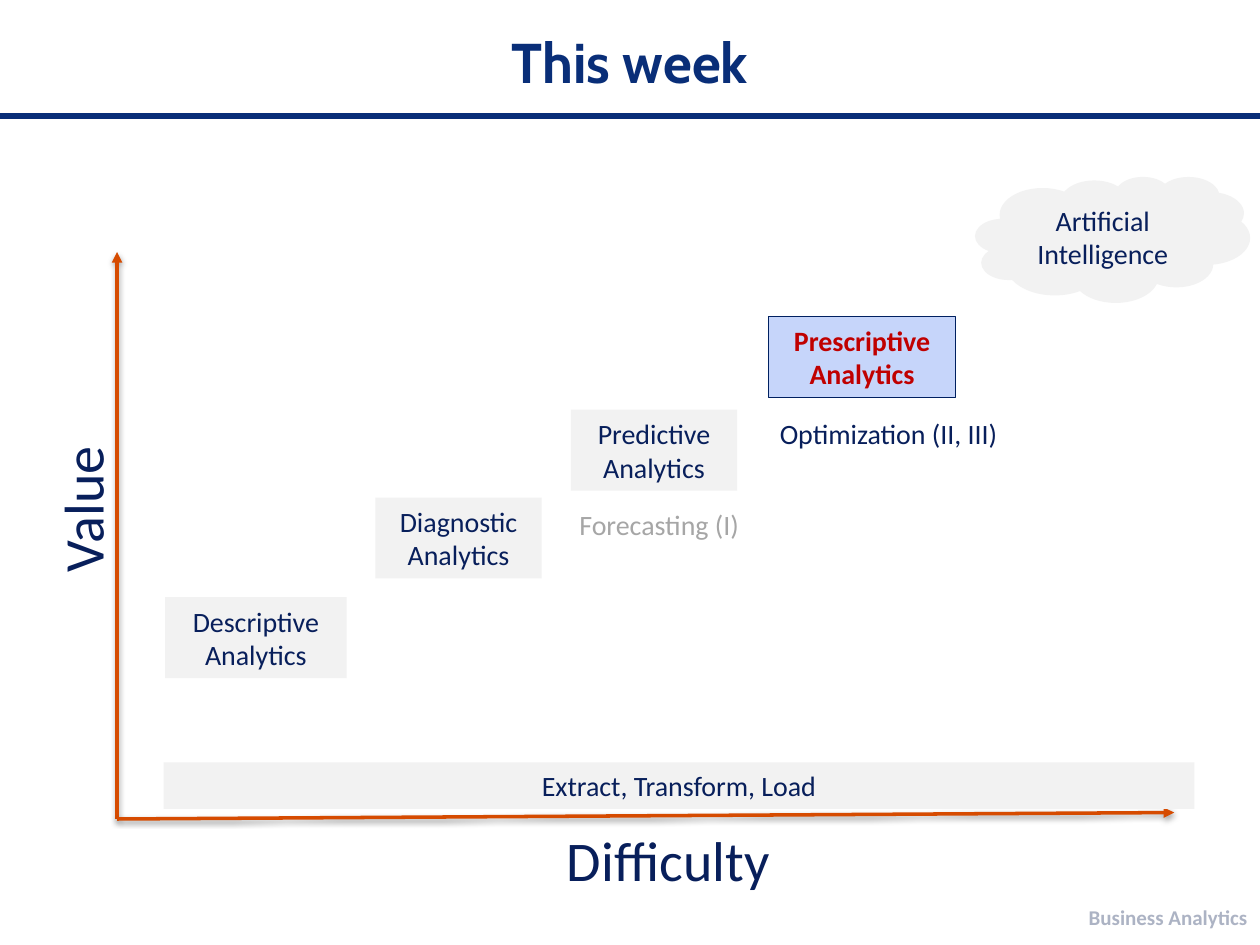
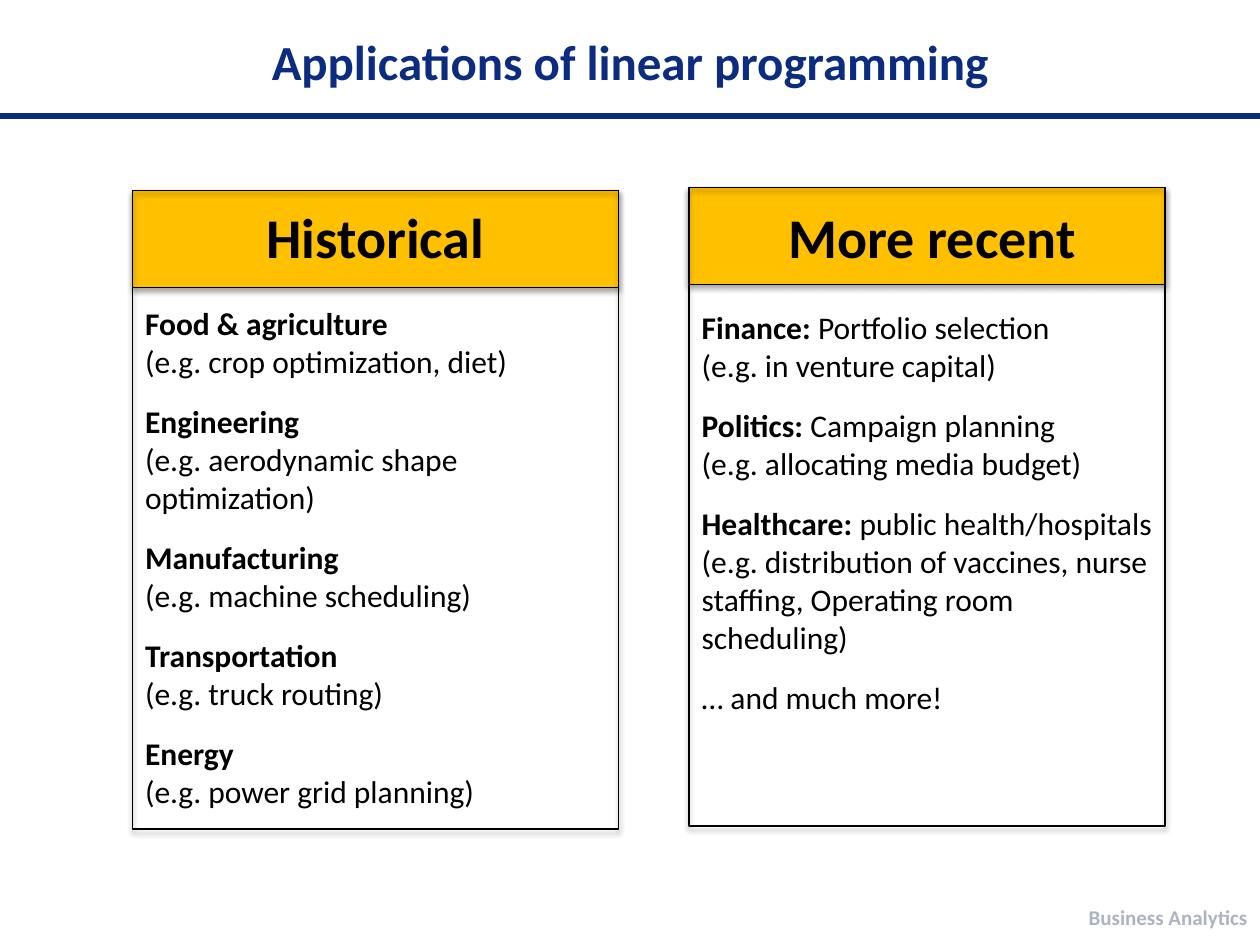
"""Build two business analytics slides: the analytics ladder and linear programming uses."""
from lxml.etree import SubElement
from pptx import Presentation
from pptx.dml.color import RGBColor
from pptx.enum.shapes import MSO_CONNECTOR, MSO_SHAPE
from pptx.enum.text import MSO_ANCHOR, MSO_AUTO_SIZE, PP_ALIGN
from pptx.oxml.ns import qn
from pptx.util import Cm, Pt

RULE_BLUE = RGBColor(0x09, 0x2E, 0x78)
TITLE_BLUE = RGBColor(0x0B, 0x2C, 0x81)
FOOTER_BLUE = RGBColor(0x06, 0x19, 0x4C)
TEXT_BLUE = RGBColor(0x08, 0x1F, 0x5B)
BORDER_BLUE = RGBColor(0x00, 0x20, 0x60)
PALE_BLUE = RGBColor(0xC6, 0xD5, 0xFA)
PALE_GRAY = RGBColor(0xF2, 0xF2, 0xF2)
MUTED_GRAY = RGBColor(0xA6, 0xA6, 0xA6)
ORANGE = RGBColor(0xD6, 0x4B, 0x00)
AMBER = RGBColor(0xFF, 0xC0, 0x00)
RED = RGBColor(0xC0, 0x00, 0x00)
BLACK = RGBColor(0x00, 0x00, 0x00)

TITLE_ONLY, TWO_CONTENT = 5, 3
STEP_HEIGHT = 1.63

HISTORICAL = [
    ("Food & agriculture", "", "(e.g. crop optimization, diet)"),
    ("Engineering", "", "(e.g. aerodynamic shape optimization)"),
    ("Manufacturing", "", "(e.g. machine scheduling)"),
    ("Transportation", "", "(e.g. truck routing)"),
    ("Energy", "", "(e.g. power grid planning)"),
]
RECENT = [
    ("Finance:", " Portfolio selection", "(e.g. in venture capital)"),
    ("Politics:", " Campaign planning", "(e.g. allocating media budget)"),
    ("Healthcare:", " public health/hospitals (e.g. distribution of vaccines, "
     "nurse staffing, Operating room scheduling)", ""),
    ("", "… and much more!", ""),
]


def write(para, text, size=16, color=TEXT_BLUE, bold=False, font="Calibri",
          align=PP_ALIGN.LEFT):
    """Add a formatted span to a paragraph."""
    para.alignment = align
    span = para.add_run()
    span.text = text
    span.font.size = Pt(size)
    span.font.name = font
    span.font.bold = bold
    span.font.color.rgb = color
    return span


def set_effects(shape, alpha=None, distance=1.57):
    """Replace the theme shadow by a soft drop shadow, or by none."""
    effects = SubElement(shape.element.spPr, qn("a:effectLst"))
    if alpha:
        shadow = SubElement(effects, qn("a:outerShdw"), blurRad=str(Pt(3.15)),
                            dist=str(Pt(distance)), dir="5400000", rotWithShape="0")
        color = SubElement(shadow, qn("a:srgbClr"), val=str(BLACK))
        SubElement(color, qn("a:alpha"), val=str(alpha * 1000))


class Deck:
    """Hold the shared style and the current page."""

    def __init__(self):
        """Start an empty deck."""
        self.deck = Presentation()
        self.deck.slide_width, self.deck.slide_height = Cm(25.4), Cm(19.05)
        self.page = None

    def add_page(self, title, layout, **style):
        """Add a page with its title, rule and footer."""
        self.page = self.deck.slides.add_slide(self.deck.slide_layouts[layout])
        self.line((0, 2.34), (25.4, 2.34), RULE_BLUE, 3)
        footer = self.text("Business Analytics", 18.62, 17.98, 6.78, 1.02, size=12,
                           color=FOOTER_BLUE, bold=True, align=PP_ALIGN.RIGHT)
        footer.text_frame.vertical_anchor = MSO_ANCHOR.MIDDLE
        tint = next(footer.element.iter(qn("a:srgbClr")))
        SubElement(tint, qn("a:alpha"), val="33000")
        heading = self.page.shapes.title
        self.place(heading, 1.27, 0.43, 22.86, 1.6)
        heading.text_frame.vertical_anchor = MSO_ANCHOR.MIDDLE
        write(heading.text_frame.paragraphs[0], title, bold=True,
              align=PP_ALIGN.CENTER, **style)

    def place(self, box, left, top, width, height):
        """Move a placeholder and keep its text at full size."""
        box.left, box.top, box.width, box.height = map(Cm, (left, top, width, height))
        box.text_frame.auto_size = MSO_AUTO_SIZE.NONE

    def line(self, start, end, color, weight):
        """Draw a straight line without shadow or arrowhead."""
        line = self.connect(start, end, color, weight)
        set_effects(line)

    def axis(self, start, end):
        """Draw a shadowed axis arrow."""
        arrow = self.connect(start, end, ORANGE, 2)
        SubElement(arrow.element.spPr.find(qn("a:ln")), qn("a:tailEnd"), type="triangle")
        set_effects(arrow, alpha=38)

    def connect(self, start, end, color, weight):
        """Add a coloured connector between two points."""
        connector = self.page.shapes.add_connector(
            MSO_CONNECTOR.STRAIGHT, *map(Cm, start + end))
        connector.line.color.rgb = color
        connector.line.width = Pt(weight)
        return connector

    def text(self, text, left, top, width, height, **style):
        """Add a wrapped text box."""
        box = self.page.shapes.add_textbox(*map(Cm, (left, top, width, height)))
        box.text_frame.word_wrap = True
        write(box.text_frame.paragraphs[0], text, **style)
        return box

    def shape(self, left, top, width, height, text="", kind=MSO_SHAPE.RECTANGLE,
              fill=None, border=None, weight=0.75, shadow=None, **style):
        """Add a preset shape with optional fill, border, shadow and text."""
        shape = self.page.shapes.add_shape(kind, *map(Cm, (left, top, width, height)))
        if fill:
            shape.fill.solid()
            shape.fill.fore_color.rgb = fill
        else:
            shape.fill.background()
        if border:
            shape.line.color.rgb = border
            shape.line.width = Pt(weight)
        else:
            shape.line.fill.background()
        set_effects(shape, shadow, 1.81)
        if text:
            shape.text_frame.word_wrap = True
            write(shape.text_frame.paragraphs[0], text, align=PP_ALIGN.CENTER, **style)
        return shape

    def card(self, body, heading, items, left, top, width, text_height, heading_gap):
        """Frame a body placeholder as a card with a heading band."""
        band = self.shape(left, top, width, 1.96, fill=AMBER, border=BLACK, shadow=35)
        self.place(body, left, 3.96, 9.8, text_height)
        band.element.addnext(body.element)
        self.list_line(body, [(heading, True)], 0, size=32, align=PP_ALIGN.CENTER)
        gap = heading_gap
        for lead, detail, example in items:
            self.list_line(body, [(lead, True), (detail, False)], gap)
            if example:
                self.list_line(body, [(example, False)], 0)
            gap = 12.8
        self.shape(left, top, width, 12.88, border=BLACK, weight=1, shadow=35)

    def list_line(self, body, spans, gap, size=18, **style):
        """Add an unbulleted paragraph made of plain and bold spans."""
        frame = body.text_frame
        para = frame.paragraphs[0]
        if para.runs:
            para = frame.add_paragraph()
        para.space_before = Pt(gap)
        properties = para._p.get_or_add_pPr()
        properties.set("marL", "0")
        properties.set("indent", "0")
        SubElement(properties, qn("a:buNone"))
        for text, bold in spans:
            if text:
                write(para, text, size=size, color=BLACK, bold=bold, **style)


def add_ladder(deck):
    """Add the page that sets value against difficulty."""
    deck.add_page("This week", TITLE_ONLY, size=32, color=RULE_BLUE, font="Cabin")
    origin = (2.36, 16.51)
    deck.axis(origin, (2.36, 5.08))
    deck.axis(origin, (23.67, 16.38))
    value = deck.text("Value", -0.13, 9.19, 3.56, STEP_HEIGHT, size=32)
    value.rotation = 270
    deck.text("Difficulty", 11.18, 16.51, 8.61, STEP_HEIGHT, size=32)
    for name, left, top, width in (("Descriptive", 3.33, 12.04, 3.66),
                                   ("Diagnostic", 7.57, 10.03, 3.35),
                                   ("Predictive", 11.51, 8.26, 3.35)):
        deck.shape(left, top, width, STEP_HEIGHT, f"{name} Analytics", fill=PALE_GRAY)
    deck.shape(15.49, 6.38, 3.78, STEP_HEIGHT, "Prescriptive Analytics", fill=PALE_BLUE,
               border=BORDER_BLUE, color=RED, bold=True)
    deck.shape(3.3, 15.37, 20.78, 0.94, "Extract, Transform, Load", fill=PALE_GRAY)
    deck.shape(19.66, 3.56, 5.54, 2.54, "Artificial Intelligence",
               kind=MSO_SHAPE.CLOUD, fill=PALE_GRAY)
    deck.text("Forecasting (I)", 11.43, 10.11, 4.93, STEP_HEIGHT, color=MUTED_GRAY)
    deck.text("Optimization (II, III)", 15.47, 8.28, 5.16, 2.31)


def add_applications(deck):
    """Add the page with historical and recent applications."""
    deck.add_page("Applications of linear programming", TWO_CONTENT,
                  size=28, color=TITLE_BLUE)
    _, historical, recent = deck.page.placeholders
    deck.card(recent, "More recent", RECENT, 13.89, 3.78, 9.6, 12.04, 22)
    deck.card(historical, "Historical", HISTORICAL, 2.67, 3.84, 9.8, 12.57, 19.5)


def main():
    """Build and save the deck."""
    deck = Deck()
    add_ladder(deck)
    add_applications(deck)
    deck.deck.save("out.pptx")


if __name__ == "__main__":
    main()
